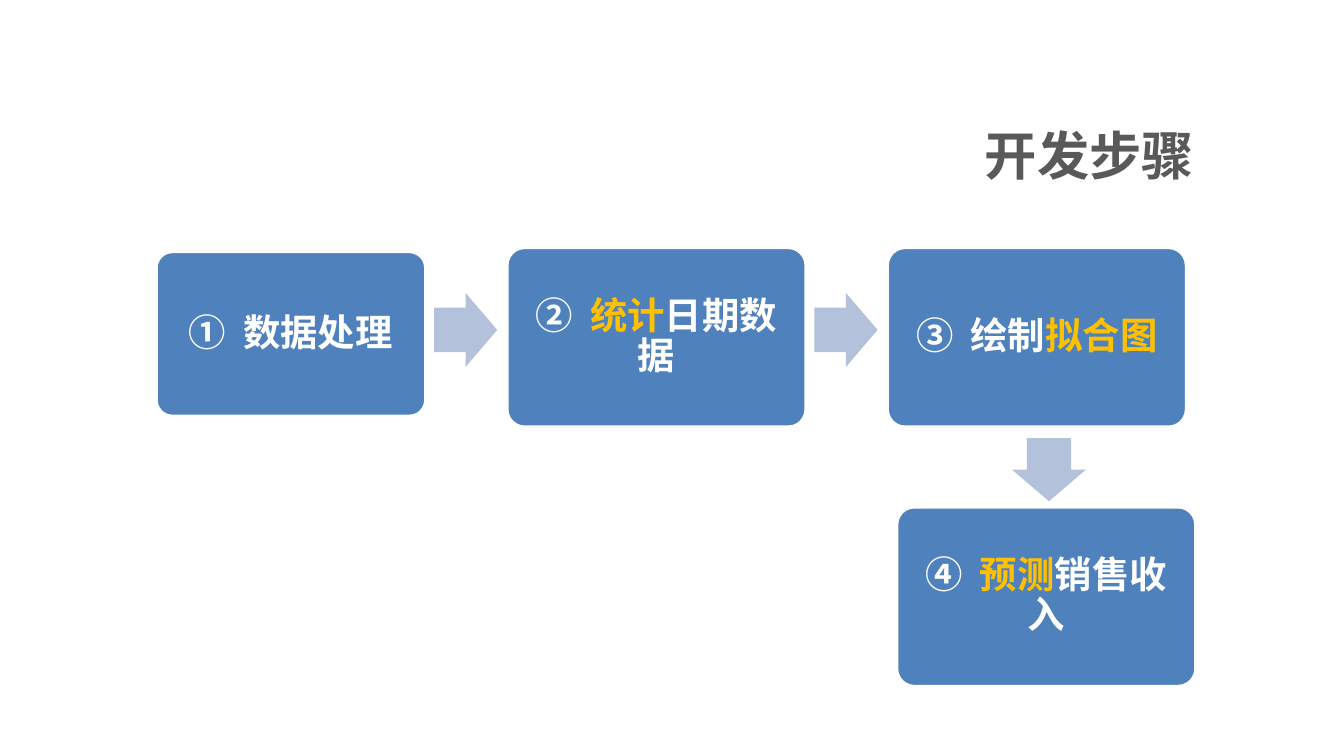
from lxml import etree
from pptx import Presentation
from pptx import util as u
from pptx.dml.color import RGBColor
from pptx.enum import shapes, text
from pptx.oxml import ns

FONT = "Noto Sans CJK SC"
COLORS = {"title": "595959", "step": "4F81BD", "arrow": "B3C1DB",
          "white": "FFFFFF", "accent": "FFC000"}
STEPS = [
    ((1.16, 1.87, 2.01, 1.23), "①", [("数据处理", "white")]),
    ((3.77, 1.84, 2.23, 1.34), "②", [("统计", "accent"), ("日期数据", "white")]),
    ((6.6, 1.84, 2.23, 1.34), "③", [("绘制", "white"), ("拟合图", "accent")]),
    ((6.67, 3.77, 2.23, 1.34), "④", [("预测", "accent"), ("销售收入", "white")]),
]
RIGHT = shapes.MSO_SHAPE.RIGHT_ARROW
DOWN = shapes.MSO_SHAPE.DOWN_ARROW
ARROWS = [(RIGHT, (3.23, 2.18, 0.47, 0.55)),
          (RIGHT, (6.06, 2.18, 0.47, 0.55)),
          (DOWN, (7.53, 3.26, 0.55, 0.47))]


def color(name):
    return RGBColor.from_string(COLORS[name])


def add_span(para, words, size, color_name):
    span = para.add_run()
    span.text = words
    span.font.size = u.Pt(size)
    span.font.bold = True
    span.font.color.rgb = color(color_name)
    span.font.name = FONT
    east_asian = etree.SubElement(span.font._element, ns.qn("a:ea"))
    east_asian.set("typeface", FONT)
    return span


def add_filled(page, kind, place, color_name):
    shape = page.shapes.add_shape(kind, *map(u.Inches, place))
    shape.shadow.inherit = False
    shape.fill.solid()
    shape.fill.fore_color.rgb = color(color_name)
    shape.line.fill.background()
    return shape


def add_title(page, place, words):
    box = page.shapes.add_textbox(*map(u.Inches, place))
    box.text_frame.word_wrap = True
    para = box.text_frame.paragraphs[0]
    para.alignment = text.PP_ALIGN.RIGHT
    add_span(para, words, 28, "title")


def add_step(page, place, number, parts):
    box = add_filled(page, shapes.MSO_SHAPE.ROUNDED_RECTANGLE, place, "step")
    box.adjustments[0] = 0.1
    box.line.color.rgb = color("white")
    box.line.width = u.Pt(2)
    frame = box.text_frame
    frame.word_wrap = True
    frame.vertical_anchor = text.MSO_ANCHOR.MIDDLE
    frame.margin_left = frame.margin_right = u.Inches(0.08)
    frame.margin_top = frame.margin_bottom = u.Inches(0.08)
    para = frame.paragraphs[0]
    para.alignment = text.PP_ALIGN.CENTER
    para.line_spacing = 0.9
    para.space_after = u.Pt(7)
    add_span(para, number, 20, "white")
    gap = add_span(para, " ", 20, "white")
    gap.font._element.set("spc", "450")  # widens the gap after the number
    for words, color_name in parts:
        add_span(para, words, 20, color_name)


def add_arrow(page, kind, place):
    arrow = add_filled(page, kind, place, "arrow")
    arrow.adjustments[0] = 0.6
    arrow.adjustments[1] = 0.5


def main():
    deck = Presentation()
    deck.slide_width = u.Inches(10)
    deck.slide_height = deck.slide_width * 9 // 16
    page = deck.slides.add_slide(deck.slide_layouts[6])
    add_title(page, (1.81, 0.87, 7.17, 0.62), "开发步骤")
    for place, number, parts in STEPS:
        add_step(page, place, number, parts)
    for kind, place in ARROWS:
        add_arrow(page, kind, place)
    deck.save("out.pptx")


if __name__ == "__main__":
    main()
